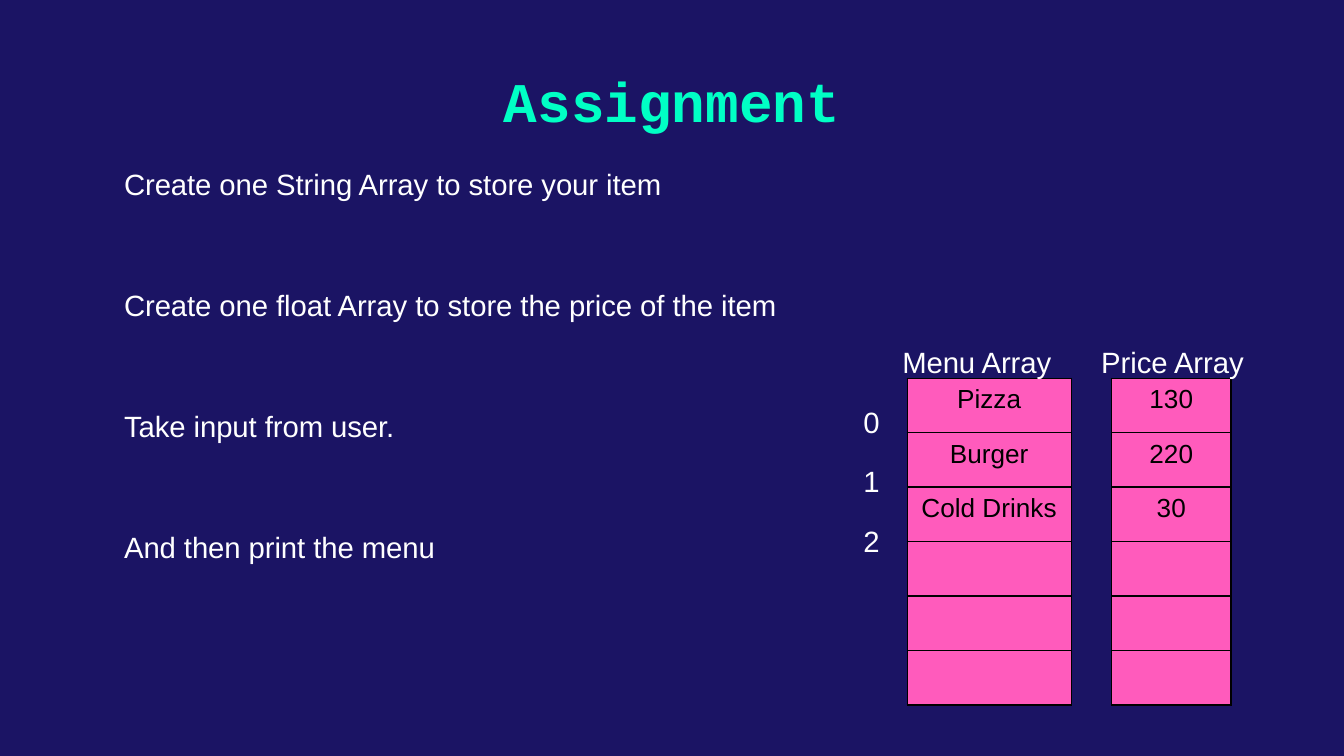
"""Build the Assignment slide with its task list and two array tables."""
from dataclasses import dataclass

from lxml import etree
from pptx import Presentation
from pptx.dml.color import RGBColor
from pptx.enum.text import MSO_ANCHOR, PP_ALIGN
from pptx.oxml.ns import qn
from pptx.slide import Slide
from pptx.table import _Cell
from pptx.text.text import TextFrame, _Paragraph
from pptx.util import Emu, Inches, Pt

CENTER = PP_ALIGN.CENTER
TOP, MIDDLE = MSO_ANCHOR.TOP, MSO_ANCHOR.MIDDLE

NAVY = RGBColor(0x1B, 0x14, 0x64)
MINT = RGBColor(0x00, 0xFF, 0xC5)
PINK = RGBColor(0xFF, 0x5B, 0xBC)
WHITE = RGBColor(0xFF, 0xFF, 0xFF)
BLACK = RGBColor(0x00, 0x00, 0x00)

WIDE = Inches(10)
HIGH = Emu(WIDE * 9 // 16)
COLS = 100
UNIT = WIDE / COLS
INSET = 1
INDENT = 1.25
CELLS = 6
CELL_ROWS = 4.05
LIST_TOP = 28.15
SIDES = ("a:lnL", "a:lnR", "a:lnT", "a:lnB")


@dataclass(frozen=True)
class Box:
    """A place on the grid, in columns and rows."""
    col: float
    row: float
    cols: float
    rows: float

    def place(self) -> tuple[Emu, Emu, Emu, Emu]:
        """Return left, top, width and height."""
        return grid(self.col), grid(self.row), grid(self.cols), grid(self.rows)


@dataclass(frozen=True)
class Note:
    """Raised white text in a box."""
    box: Box
    lines: tuple[str, ...]


@dataclass(frozen=True)
class Array:
    """A one-column table of items."""
    col: float
    cols: float
    items: tuple[str, ...]


TASKS = (
    "Create one String Array to store your item",
    "Create one float Array to store the price of the item",
    "Take input from user.",
    "And then print the menu",
)
NOTES = (
    Note(Box(7, 11.9, 89, 37.6), TASKS),
    Note(Box(64.9, 25.2, 18.9, 2.9), ("Menu Array",)),
    Note(Box(79.7, 25.2, 18.9, 2.9), ("Price Array",)),
    *(Note(Box(62, 29.6 + 4.45 * i, 9.2, 2.9), (str(i),)) for i in range(3)),
)
ARRAYS = (
    Array(67.5, 12.2, ("Pizza", "Burger", "Cold Drinks")),
    Array(82.7, 8.9, ("130", "220", "30")),
)


def grid(count: float) -> Emu:
    """Turn grid units into a length."""
    return Emu(round(count * UNIT))


def add_run(para: _Paragraph, text: str, size: float, color: RGBColor,
            face: str = "Arial", bold: bool = False, lift: int = 0) -> None:
    """Add one styled run, raised by a percentage if asked."""
    run = para.add_run()
    run.text = text
    run.font.name = face
    run.font.size = Pt(size)
    run.font.bold = bold
    run.font.color.rgb = color
    if lift:
        run.font._element.set("baseline", str(lift * 1000))


def set_frame(frame: TextFrame, top: float, anchor: MSO_ANCHOR) -> None:
    """Set wrapping, insets and anchor."""
    frame.word_wrap = True
    frame.vertical_anchor = anchor
    frame.margin_left = frame.margin_right = frame.margin_bottom = grid(INSET)
    frame.margin_top = grid(top)


def draw_title(slide: Slide, text: str) -> None:
    """Move and format the title."""
    title = slide.shapes.title
    title.left, title.top, title.width, title.height = Box(14, 3.8, 72, 7.3).place()
    set_frame(title.text_frame, INSET, MIDDLE)
    para = title.text_frame.paragraphs[0]
    para.alignment = CENTER
    add_run(para, text, 30, MINT, "Courier New", True)


def draw_note(slide: Slide, note: Note) -> None:
    """Draw indented lines of raised text."""
    frame = slide.shapes.add_textbox(*note.box.place()).text_frame
    set_frame(frame, 0, TOP)
    for i, line in enumerate(note.lines):
        para = frame.add_paragraph() if i else frame.paragraphs[0]
        para.space_after = Pt(32.4)
        props = para._p.get_or_add_pPr()
        props.set("marL", str(grid(INDENT)))
        props.set("indent", "0")
        add_run(para, line, 27, WHITE, lift=30)


def add_edges(cell: _Cell) -> None:
    """Give a cell thin black borders."""
    props = cell._tc.get_or_add_tcPr()
    for side in SIDES:
        edge = etree.SubElement(props, qn(side), w=str(Pt(0.75)))
        fill = etree.SubElement(edge, qn("a:solidFill"))
        etree.SubElement(fill, qn("a:srgbClr"), val=str(BLACK))


def draw_array(slide: Slide, array: Array) -> None:
    """Draw a column of pink cells, filled from the top."""
    box = Box(array.col, LIST_TOP, array.cols, CELLS * CELL_ROWS)
    table = slide.shapes.add_table(CELLS, 1, *box.place()).table
    table.first_row = table.horz_banding = False
    for i in range(CELLS):
        cell = table.cell(i, 0)
        add_edges(cell)
        cell.fill.solid()
        cell.fill.fore_color.rgb = PINK
        if i < len(array.items):
            para = cell.text_frame.paragraphs[0]
            para.alignment = CENTER
            add_run(para, array.items[i], 14, BLACK)


def main() -> None:
    """Build and save the slide."""
    deck = Presentation()
    deck.slide_width, deck.slide_height = WIDE, HIGH
    slide = deck.slides.add_slide(deck.slide_layouts[5])
    slide.background.fill.solid()
    slide.background.fill.fore_color.rgb = NAVY
    draw_title(slide, "Assignment")
    for array in ARRAYS:
        draw_array(slide, array)
    for note in NOTES:
        draw_note(slide, note)
    deck.save("out.pptx")


if __name__ == "__main__":
    main()
